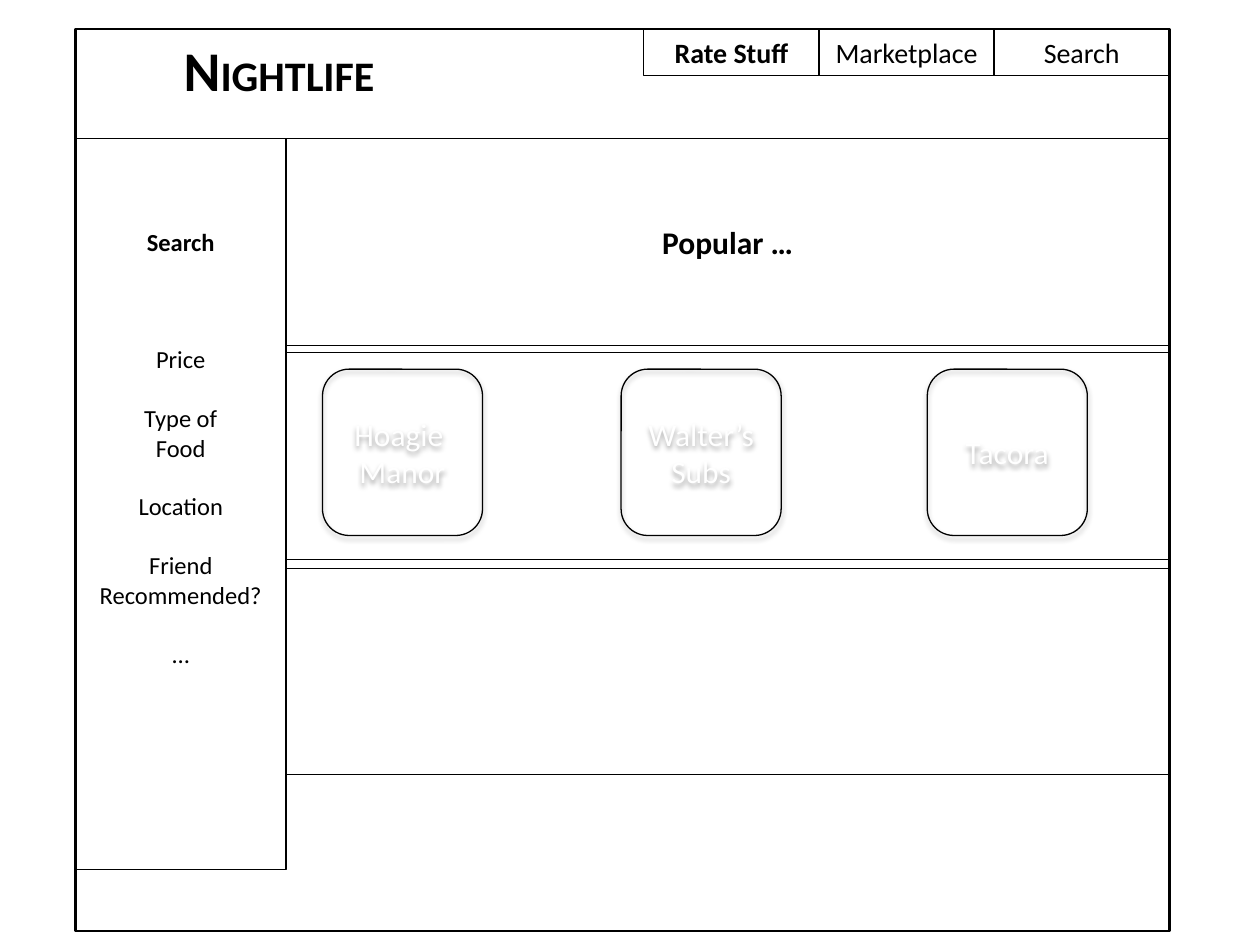
from lxml import etree
from pptx import Presentation
from pptx import util as u
from pptx.dml.color import RGBColor
from pptx.enum import shapes, text
from pptx.oxml import ns

BLACK = RGBColor(0, 0, 0)
WHITE = RGBColor(255, 255, 255)
RECT = shapes.MSO_SHAPE.RECTANGLE
ROUND = shapes.MSO_SHAPE.ROUNDED_RECTANGLE
MID = text.MSO_ANCHOR.MIDDLE
TOP = text.MSO_ANCHOR.TOP
LEFT, HEAD, EDGE = 0.6, 0.23, 9.28
BODY, SPLIT = 1.1, 2.27
LINE = 16.8


def box(slide, spot, kind=RECT, width=0.75):
    """Add an unfilled outlined shape without shadow."""
    item = slide.shapes.add_shape(kind, *map(u.Inches, spot))
    item.shadow.inherit = False
    item.fill.background()
    item.line.color.rgb = BLACK
    item.line.width = u.Pt(width)
    return item


def write(item, paras, color=BLACK, anchor=TOP):
    """Fill a shape with (gap, runs) paragraphs of (words, size, bold) runs."""
    frame = item.text_frame
    frame.word_wrap = True
    frame.vertical_anchor = anchor
    for i, (gap, runs) in enumerate(paras):
        para = frame.add_paragraph() if i else frame.paragraphs[0]
        para.alignment = text.PP_ALIGN.CENTER
        para.space_before = u.Pt(gap)
        for words, size, bold in runs:
            run = para.add_run()
            run.text = words
            font = run.font
            font.name, font.size, font.bold = "Calibri", u.Pt(size), bold
            font.color.rgb = color


def shade(item):
    """Give a shape a soft shadow straight below it."""
    effects = item.element.spPr.find(ns.qn("a:effectLst"))
    outer = etree.SubElement(effects, ns.qn("a:outerShdw"), blurRad=str(u.Pt(3.1)),
                             dist=str(u.Pt(1.8)), dir="5400000", rotWithShape="0")
    tint = etree.SubElement(outer, ns.qn("a:srgbClr"), val=str(BLACK))
    etree.SubElement(tint, ns.qn("a:alpha"), val="35000")


def header(slide):
    """Draw the tabs, the page frame and the site title."""
    wide = 1.39
    names = ["Rate Stuff", "Marketplace", "Search"]
    for i, name in enumerate(names):
        tab = box(slide, (EDGE - wide * (len(names) - i), HEAD, wide, 0.37))
        write(tab, [(0, [(name, 16, i == 0)])])
    box(slide, (LEFT, HEAD, EDGE - LEFT, 7.16), width=1.5)
    spot = map(u.Inches, (LEFT, HEAD, 3.23, 0.64))
    write(slide.shapes.add_textbox(*spot),
          [(0, [("N", 32, True), ("IGHTLIFE", 24, True)])])


def sidebar(slide):
    """Draw the search filters."""
    panel = box(slide, (LEFT, BODY, SPLIT - LEFT, 5.8))
    panel.text_frame.margin_top = u.Inches(0.7)
    rows = [(0, "Search"), (3, "Price"), (1, "Type of"), (0, "Food"),
            (1, "Location"), (1, "Friend"), (0, "Recommended?"), (1, "…")]
    write(panel, [(skip * LINE, [(name, 14, name == "Search")])
                  for skip, name in rows])


def content(slide):
    """Draw the three bands and the place cards."""
    bands = [box(slide, (SPLIT, top, EDGE - SPLIT, 1.64))
             for top in (BODY, 2.8, 4.51)]
    write(bands[0], [(0, [("Popular …", 18, True)])], anchor=MID)
    cards = [(2.56, ["Hoagie ", "Manor"]), (4.93, ["Walter’s", "Subs"]),
             (7.36, ["Tacora"])]
    for left, names in cards:
        card = box(slide, (left, 2.93, 1.27, 1.32), ROUND)
        shade(card)
        write(card, [(0, [(name, 18, False)]) for name in names], WHITE, MID)


def main():
    """Build the page mock-up."""
    deck = Presentation()
    deck.slide_width, deck.slide_height = u.Inches(10), u.Inches(7.5)
    slide = deck.slides.add_slide(deck.slide_layouts[6])
    header(slide)
    sidebar(slide)
    content(slide)
    deck.save("out.pptx")


main()
